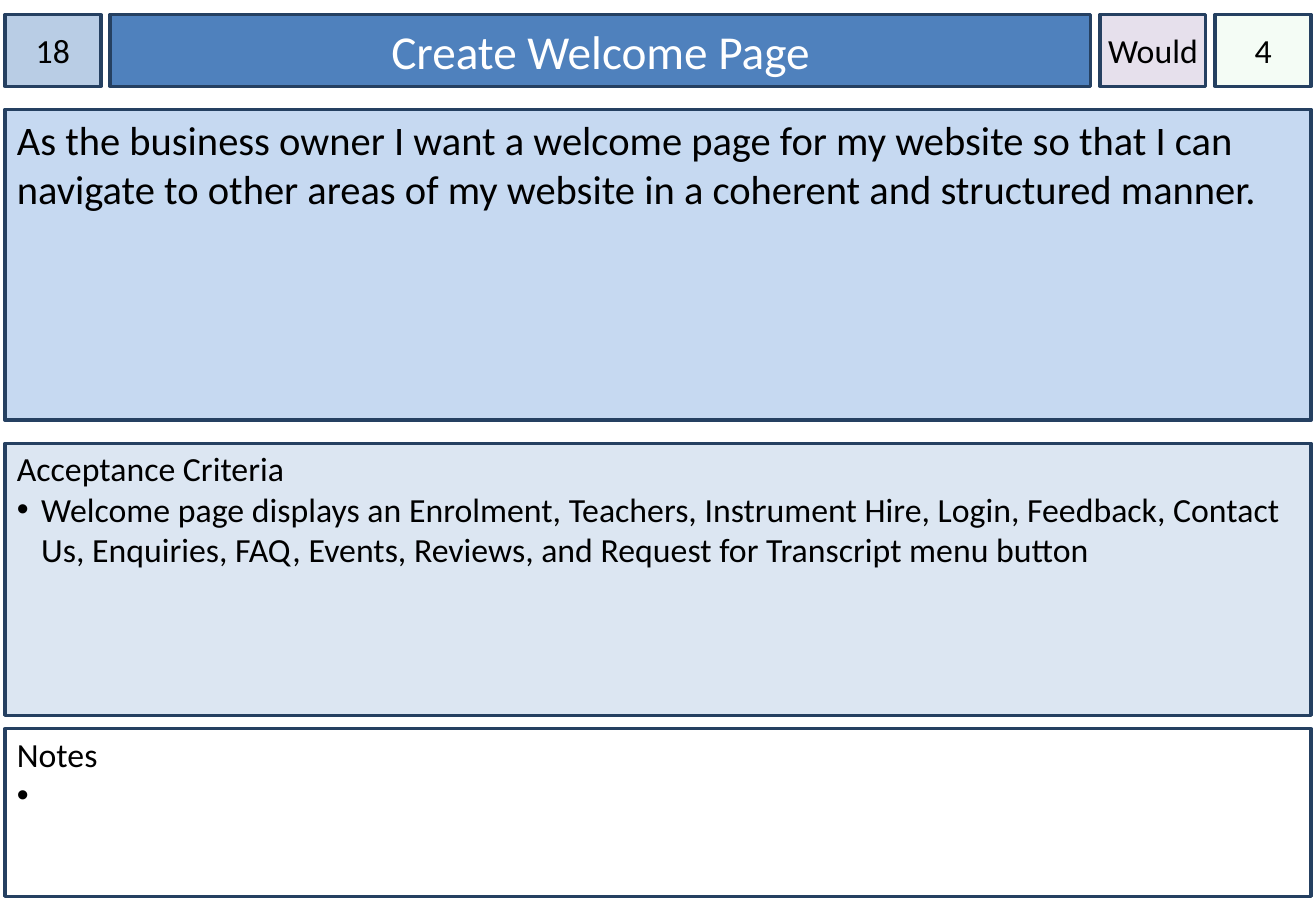
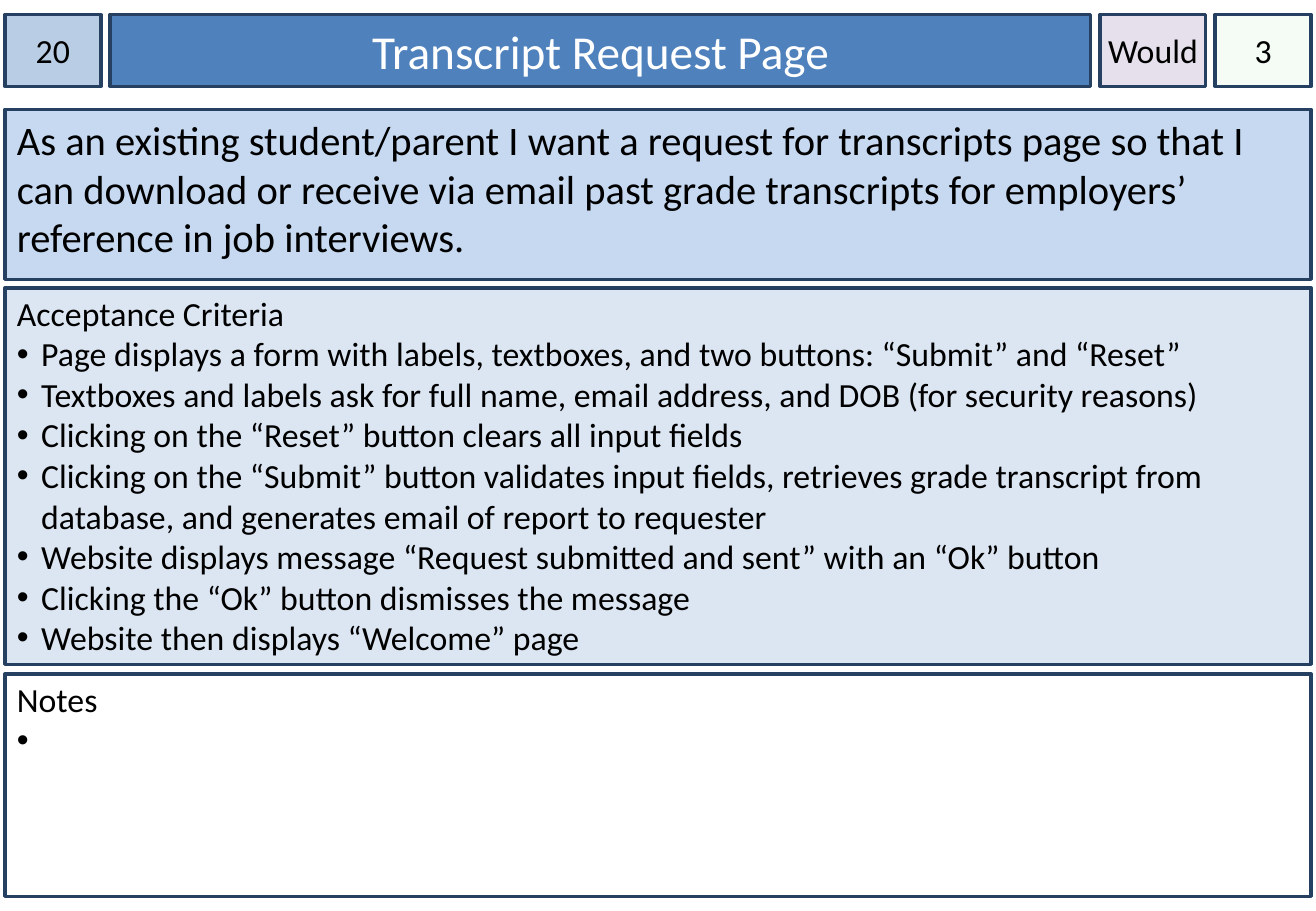
from dataclasses import dataclass

import pptx
import pptx.dml.color
import pptx.enum.shapes
import pptx.enum.text
import pptx.oxml.ns
import pptx.util
from lxml import etree

Inches = pptx.util.Inches
ALIGN = pptx.enum.text.PP_ALIGN
ANCHOR = pptx.enum.text.MSO_ANCHOR


@dataclass(frozen=True)
class Theme:
    font: str = "Calibri"
    text: str = "000000"
    title_text: str = "FFFFFF"
    outline: str = "254061"
    number: str = "B9CDE5"
    title: str = "4F81BD"
    priority: str = "E6E0EC"
    estimate: str = "CCF0CD"
    story: str = "C6D9F1"
    criteria: str = "DCE6F2"
    notes: str = "FFFFFF"
    title_size: int = 28
    story_size: int = 24
    body_size: int = 20
    line_width: int = 2
    estimate_opacity: int = 20  # percent


@dataclass(frozen=True)
class Box:
    left: float
    top: float
    width: float
    height: float


THEME = Theme()
LEFT, WIDTH = 0.04, 10.75
HEADER = Box(LEFT, 0.12, WIDTH, 0.59)
HEADER_WIDTHS = (0.79, 8.07, 0.87, 0.79)
TIGHT_SIDES = (0, 0.05, 0, 0.05)
LIST_INSETS = (0.1, 0.04, 0.1, 0.05)
BULLET_INDENT = 0.2

# Panel positions are (top, height)
CARDS = [
    {
        "number": "18", "title": "Create Welcome Page",
        "priority": "Would", "estimate": "4",
        "story": "As the business owner I want a welcome page for my website so that "
                 "I can navigate to other areas of my website in a coherent and "
                 "structured manner.",
        "criteria": [
            "Welcome page displays an Enrolment, Teachers, Instrument Hire, Login, "
            "Feedback, Contact Us, Enquiries, FAQ, Events, Reviews, and Request for "
            "Transcript menu button",
        ],
        "panels": [(0.9, 2.56), (3.65, 2.24), (6, 1.38)],
    },
    {
        "number": "20", "title": "Transcript Request Page",
        "priority": "Would", "estimate": "3",
        "story": "As an existing student/parent I want a request for transcripts page "
                 "so that I can download or receive via email past grade transcripts "
                 "for employers’ reference in job interviews.",
        "criteria": [
            "Page displays a form with labels, textboxes, and two buttons: “Submit” "
            "and “Reset”",
            "Textboxes and labels ask for full name, email address, and DOB (for "
            "security reasons)",
            "Clicking on the “Reset” button clears all input fields",
            "Clicking on the “Submit” button validates input fields, retrieves grade "
            "transcript from database, and generates email of report to requester",
            "Website displays message “Request submitted and sent” with an “Ok” button",
            "Clicking the “Ok” button dismisses the message",
            "Website then displays “Welcome” page",
        ],
        "panels": [(0.9, 1.4), (2.37, 3.1), (5.55, 1.83)],
    },
]


def rgb(value):
    return pptx.dml.color.RGBColor.from_string(value)


def add_bullet(para):
    props = para._p.get_or_add_pPr()
    props.set("marL", str(Inches(BULLET_INDENT)))
    props.set("indent", str(-Inches(BULLET_INDENT)))
    font = etree.SubElement(props, pptx.oxml.ns.qn("a:buFont"))
    font.set("typeface", "Arial")
    mark = etree.SubElement(props, pptx.oxml.ns.qn("a:buChar"))
    mark.set("char", "•")


def set_opacity(shape, percent):
    color = shape._element.spPr.find(".//" + pptx.oxml.ns.qn("a:srgbClr"))
    alpha = etree.SubElement(color, pptx.oxml.ns.qn("a:alpha"))
    alpha.set("val", str(percent * 1000))


def add_panel(page, box, fill, lines, size, color=THEME.text, align=ALIGN.LEFT,
              anchor=ANCHOR.TOP, insets=(0.1, 0.05, 0.1, 0.05), wrap=True):
    """Outlined rectangle; every line after the first is a bullet."""
    shape = page.shapes.add_shape(
        pptx.enum.shapes.MSO_SHAPE.RECTANGLE,
        Inches(box.left), Inches(box.top), Inches(box.width), Inches(box.height))
    shape.shadow.inherit = False
    shape.fill.solid()
    shape.fill.fore_color.rgb = rgb(fill)
    shape.line.color.rgb = rgb(THEME.outline)
    shape.line.width = pptx.util.Pt(THEME.line_width)

    frame = shape.text_frame
    frame.word_wrap = wrap
    frame.vertical_anchor = anchor
    (frame.margin_left, frame.margin_top,
     frame.margin_right, frame.margin_bottom) = map(Inches, insets)
    frame.text = "\n".join(lines)
    for index, para in enumerate(frame.paragraphs):
        para.alignment = align
        if index:
            add_bullet(para)
        for span in para.runs:
            span.font.name = THEME.font
            span.font.size = pptx.util.Pt(size)
            span.font.color.rgb = rgb(color)
    return shape


def add_header(page, box, card):
    """Row of number, title, priority and estimate, with equal gaps."""
    gap = (box.width - sum(HEADER_WIDTHS)) / (len(HEADER_WIDTHS) - 1)
    cells = []
    left = box.left
    for width in HEADER_WIDTHS:
        cells.append(Box(left, box.top, width, box.height))
        left += width + gap
    number, title, priority, estimate = cells

    centred = {"align": ALIGN.CENTER, "anchor": ANCHOR.MIDDLE}
    small = {"size": THEME.body_size, "insets": TIGHT_SIDES, **centred}
    add_panel(page, number, THEME.number, [card["number"]], **small)
    add_panel(page, title, THEME.title, [card["title"]], THEME.title_size,
              THEME.title_text, **centred)
    add_panel(page, priority, THEME.priority, [card["priority"]], wrap=False, **small)
    points = add_panel(page, estimate, THEME.estimate, [card["estimate"]], **small)
    set_opacity(points, THEME.estimate_opacity)


def add_list(page, box, fill, heading, items):
    add_panel(page, box, fill, [heading, *items], THEME.body_size, insets=LIST_INSETS)


def add_card(deck, card):
    page = deck.slides.add_slide(deck.slide_layouts[6])
    story, criteria, notes = [Box(LEFT, top, WIDTH, height)
                              for top, height in card["panels"]]
    add_header(page, HEADER, card)
    add_panel(page, story, THEME.story, [card["story"]], THEME.story_size)
    add_list(page, criteria, THEME.criteria, "Acceptance Criteria", card["criteria"])
    # The single space keeps the empty note's bullet visible
    add_list(page, notes, THEME.notes, "Notes", [" "])


def main():
    deck = pptx.Presentation()
    deck.slide_width = Inches(10.83)
    deck.slide_height = Inches(7.5)
    for card in CARDS:
        add_card(deck, card)
    deck.save("out.pptx")


if __name__ == "__main__":
    main()
